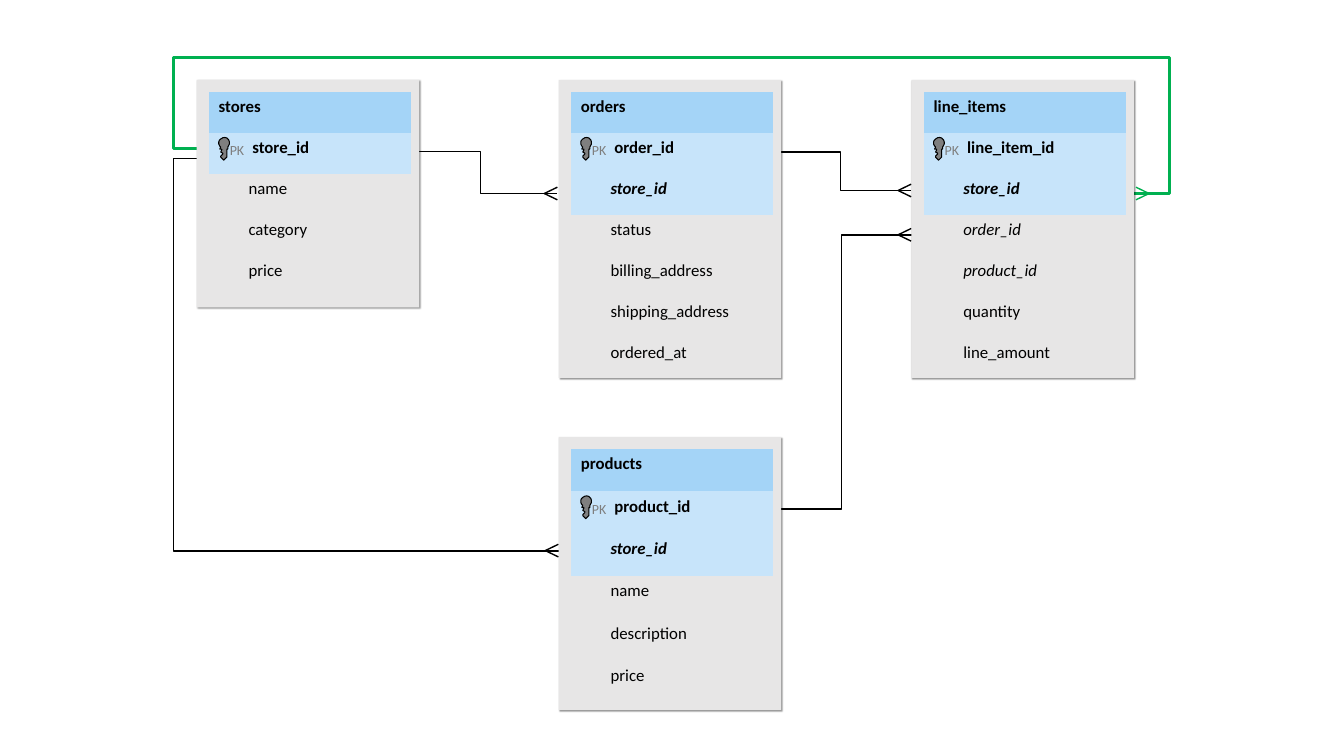
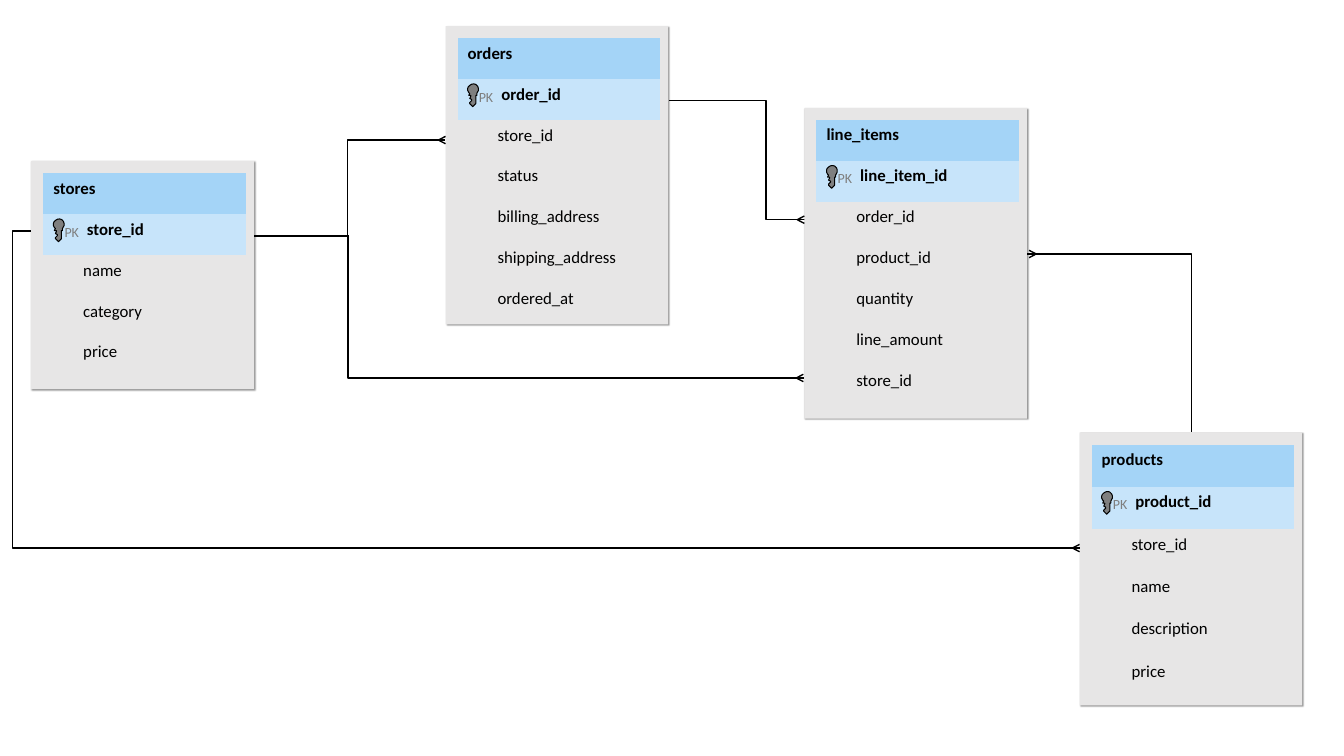
from dataclasses import dataclass

from lxml import etree
from pptx import Presentation
from pptx.dml.color import RGBColor
from pptx.enum.shapes import MSO_CONNECTOR, MSO_SHAPE
from pptx.oxml.ns import qn
from pptx.util import Emu, Length, Pt

RECTANGLE = MSO_SHAPE.RECTANGLE
ELBOW = MSO_CONNECTOR.ELBOW

# The slide is a grid of 160 columns and 90 rows of square cells.
CELL = 76200
COLUMNS, ROWS = 160, 90

FONT = "Calibri"
COLORS = {
    "ink": "000000",
    "header": "A4D4F7",
    "key": "C7E4FA",
    "card": "E7E6E6",
    "muted": "7F7F7F",
    "highlight": "00B050",
}
NO_GRID_STYLE = "{2D5ABB26-0587-4C30-8999-92F81FD0307C}"

CARD_WIDTH = 26.5
CARD_PADDING = 1.44
TABLE_WIDTH = 24.12
CELL_MARGIN = 1.2
FIELD_INDENT = 3.55
PRIMARY_INDENT = 4.0

KEY_OUTLINE = (
    (3, 20), (6, 23), (9, 20), (9, 12), (10, 12), (10, 10), (11.6, 7), (11.6, 5),
    (11, 3), (9, 1), (7, 0.5), (5, 0.8), (3, 2), (1.5, 3.5), (1, 5), (1, 7), (2, 9),
    (3, 10), (2, 12), (4, 12), (4, 13), (3, 15), (5, 16), (5, 17), (3, 19),
)
KEY_UNIT = 0.12


@dataclass(frozen=True)
class Entity:
    """A database table drawn as a card, placed in grid cells."""
    name: str
    column: float
    row: float
    height: float
    fields: tuple[str, ...]
    key_count: int = 1
    foreign: tuple[str, ...] = ()
    pitch: float = 4.87


@dataclass(frozen=True)
class Relation:
    """An elbow line; its bends alternate between column and row."""
    start: tuple[float, float]
    end: tuple[float, float]
    bends: tuple[float, ...] = ()
    color: str = "ink"
    weight: float = 1


@dataclass(frozen=True)
class CrowFoot:
    """A 'many' mark with its tip; a negative width opens to the left."""
    column: float
    row: float
    width: float
    spread: float
    color: str = "ink"


@dataclass(frozen=True)
class Diagram:
    """All that one slide shows."""
    entities: tuple[Entity, ...]
    relations: tuple[Relation, ...]
    feet: tuple[CrowFoot, ...]


STORE_FIELDS = ("store_id", "name", "category", "price")
PRODUCT_FIELDS = ("product_id", "store_id", "name", "description", "price")
ORDER_FIELDS = ("order_id", "store_id", "status", "billing_address",
                "shipping_address", "ordered_at")
LARGE_FOOT = (1.56, 0.75)
SMALL_FOOT = (0.84, 0.44)

COMPOSITE_KEYS = Diagram(
    entities=(
        Entity("products", 66.5, 52, 32.5, PRODUCT_FIELDS, 2, pitch=5.04),
        Entity("stores", 23.4, 9.5, 27.1, STORE_FIELDS),
        Entity("orders", 66.5, 9.5, 35.5, ORDER_FIELDS, 2),
        Entity("line_items", 108.5, 9.5, 35.5,
               ("line_item_id", "store_id", "order_id", "product_id",
                "quantity", "line_amount"),
               2, ("order_id", "product_id")),
    ),
    relations=(
        Relation((27.36, 17.64), (134.04, 23.04), (20.64, 6.84, 139.32), "highlight", 2),
        Relation((72.96, 60.6), (109.92, 27.96), (100.2,)),
        Relation((27.36, 18.84), (67.92, 65.6), (20.64,)),
        Relation((48.36, 18), (66, 23.04), (57.24,)),
        Relation((93, 18.12), (107.04, 22.68), (100.08,)),
    ),
    feet=(
        CrowFoot(64.8, 23.04, *LARGE_FOOT),
        CrowFoot(106.92, 22.68, *LARGE_FOOT),
        CrowFoot(64.92, 65.55, *LARGE_FOOT),
        CrowFoot(106.92, 27.96, *LARGE_FOOT),
        CrowFoot(136.8, 23.04, -LARGE_FOOT[0], LARGE_FOOT[1], "highlight"),
    ),
)

SINGLE_KEYS = Diagram(
    entities=(
        Entity("products", 128.52, 51.48, 32.5, PRODUCT_FIELDS, pitch=5.04),
        Entity("stores", 3.72, 19.2, 27.1, STORE_FIELDS),
        Entity("orders", 53.04, 3.12, 35.5, ORDER_FIELDS),
        Entity("line_items", 95.76, 12.84, 37,
               ("line_item_id", "order_id", "product_id", "quantity",
                "line_amount", "store_id")),
    ),
    relations=(
        Relation((30.24, 28.08), (52.56, 16.68), (41.4,)),
        Relation((79.68, 12), (102.84, 26.16), (91.2,)),
        Relation((3.72, 27.48), (128.52, 65.25), (1.44,)),
        Relation((117.72, 30.24), (141.84, 51.48)),
        Relation((41.52, 28.08), (95.76, 45), (41.4,)),
    ),
    feet=(
        CrowFoot(52.2, 16.68, *SMALL_FOOT),
        CrowFoot(94.92, 26.16, *SMALL_FOOT),
        CrowFoot(127.68, 65.25, *SMALL_FOOT),
        CrowFoot(123.36, 30.24, -SMALL_FOOT[0], SMALL_FOOT[1]),
        CrowFoot(94.8, 45, *SMALL_FOOT),
    ),
)


def grid(*counts: float) -> list[Length]:
    """Turn counts of grid cells into lengths."""
    return [Emu(round(count * CELL)) for count in counts]


def rgb(name: str) -> RGBColor:
    """Look up a named colour."""
    return RGBColor.from_string(COLORS[name])


def paint(target, name: str) -> None:
    """Fill a shape or cell with a named colour."""
    target.fill.solid()
    target.fill.fore_color.rgb = rgb(name)


def write(frame, text: str, color: str, **formats) -> None:
    """Put one formatted run into a text frame."""
    run = frame.paragraphs[0].add_run()
    run.text = text
    run.font.color.rgb = rgb(color)
    for attribute, value in ({"name": FONT} | formats).items():
        setattr(run.font, attribute, value)


def add_card(slide, entity: Entity) -> None:
    """Draw the shadowed panel behind an entity."""
    card = slide.shapes.add_shape(
        RECTANGLE, *grid(entity.column, entity.row, CARD_WIDTH, entity.height))
    card.shadow.inherit = False
    paint(card, "card")
    card.line.fill.background()
    effects = card.element.spPr.find(qn("a:effectLst"))
    shadow = etree.SubElement(effects, qn("a:outerShdw"), blurRad="12700", dist="12700",
                              dir="2700000", algn="tl", rotWithShape="0")
    tint = etree.SubElement(shadow, qn("a:srgbClr"), val=COLORS["ink"])
    etree.SubElement(tint, qn("a:alpha"), val="40000")


def add_fields(slide, entity: Entity) -> None:
    """Draw the table with an entity's name and fields."""
    labels = (entity.name, *entity.fields)
    frame = slide.shapes.add_table(len(labels), 1, *grid(
        entity.column + CARD_PADDING, entity.row + CARD_PADDING,
        TABLE_WIDTH, entity.pitch * len(labels)))
    table = frame.table
    for attribute in ("first_row", "horz_banding"):
        setattr(table, attribute, False)
    frame.element.find(".//" + qn("a:tableStyleId")).text = NO_GRID_STYLE
    indents = (0, PRIMARY_INDENT)
    fills = ("header",) + ("key",) * entity.key_count
    for index, label in enumerate(labels):
        cell = table.cell(index, 0)
        indent = indents[index] if index < len(indents) else FIELD_INDENT
        cell.margin_left, = grid(CELL_MARGIN + indent)
        is_key = index < len(fills)
        paint(cell, fills[index] if is_key else "card")
        italic = label in entity.foreign or (is_key and index > 1)
        write(cell.text_frame, label, "ink", size=Pt(12), bold=is_key, italic=italic)


def add_primary_mark(slide, entity: Entity) -> None:
    """Draw the key symbol and the PK tag in the first field's row."""
    left = entity.column + CARD_PADDING
    top = entity.row + CARD_PADDING + entity.pitch
    points = [tuple(grid(left + 1.08 + x * KEY_UNIT, top + 0.5 + y * KEY_UNIT))
              for x, y in KEY_OUTLINE]
    builder = slide.shapes.build_freeform(*points[0])
    builder.add_line_segments(points[1:], close=True)
    key = builder.convert_to_shape()
    key.shadow.inherit = False
    paint(key, "muted")
    key.line.color.rgb = rgb("ink")
    key.line.width = Pt(0)

    tag = slide.shapes.add_textbox(*grid(left + 2.52, top + 1.06, 2.52, 2.52)).text_frame
    settings = {"word_wrap": False, "margin_left": 0, "margin_top": 0,
                "margin_right": 0, "margin_bottom": 0}
    for attribute, value in settings.items():
        setattr(tag, attribute, value)
    write(tag, "PK", "muted", size=Pt(10))


def add_relation(slide, relation: Relation) -> None:
    """Draw an elbow connector with its bends at the given grid lines."""
    line = slide.shapes.add_connector(ELBOW, *grid(*relation.start, *relation.end))
    line.line.color.rgb = rgb(relation.color)
    line.line.width = Pt(relation.weight)
    properties = line.element.spPr
    etree.SubElement(properties, qn("a:effectLst"))
    geometry = properties.find(qn("a:prstGeom"))
    geometry.set("prst", f"bentConnector{len(relation.bends) + 2}")
    guides = geometry.find(qn("a:avLst"))
    if guides is None:
        guides = etree.SubElement(geometry, qn("a:avLst"))
    for index, bend in enumerate(relation.bends):
        begin, end = relation.start[index % 2], relation.end[index % 2]
        share = round((bend - begin) / (end - begin) * 100000)
        etree.SubElement(guides, qn("a:gd"), name=f"adj{index + 1}", fmla=f"val {share}")


def add_foot(slide, foot: CrowFoot) -> None:
    """Draw three strokes that spread out from the tip."""
    tip = grid(foot.column, foot.row)
    builder = slide.shapes.build_freeform(*tip)
    for index, rise in enumerate((0, -foot.spread, foot.spread)):
        if index:
            builder.move_to(*tip)
        toe = tuple(grid(foot.column + foot.width, foot.row + rise))
        builder.add_line_segments([toe], close=False)
    mark = builder.convert_to_shape()
    mark.shadow.inherit = False
    mark.fill.background()
    mark.line.color.rgb = rgb(foot.color)
    mark.line.width = Pt(1)


def add_diagram(deck, diagram: Diagram) -> None:
    """Add a slide with relations behind the cards and feet on top."""
    slide = deck.slides.add_slide(deck.slide_layouts[6])
    for relation in diagram.relations:
        add_relation(slide, relation)
    for entity in diagram.entities:
        add_card(slide, entity)
        add_fields(slide, entity)
        add_primary_mark(slide, entity)
    for foot in diagram.feet:
        add_foot(slide, foot)


def main() -> None:
    """Build both schema diagrams and save them."""
    deck = Presentation()
    deck.slide_width, deck.slide_height = grid(COLUMNS, ROWS)
    for diagram in (COMPOSITE_KEYS, SINGLE_KEYS):
        add_diagram(deck, diagram)
    deck.save("out.pptx")


main()
